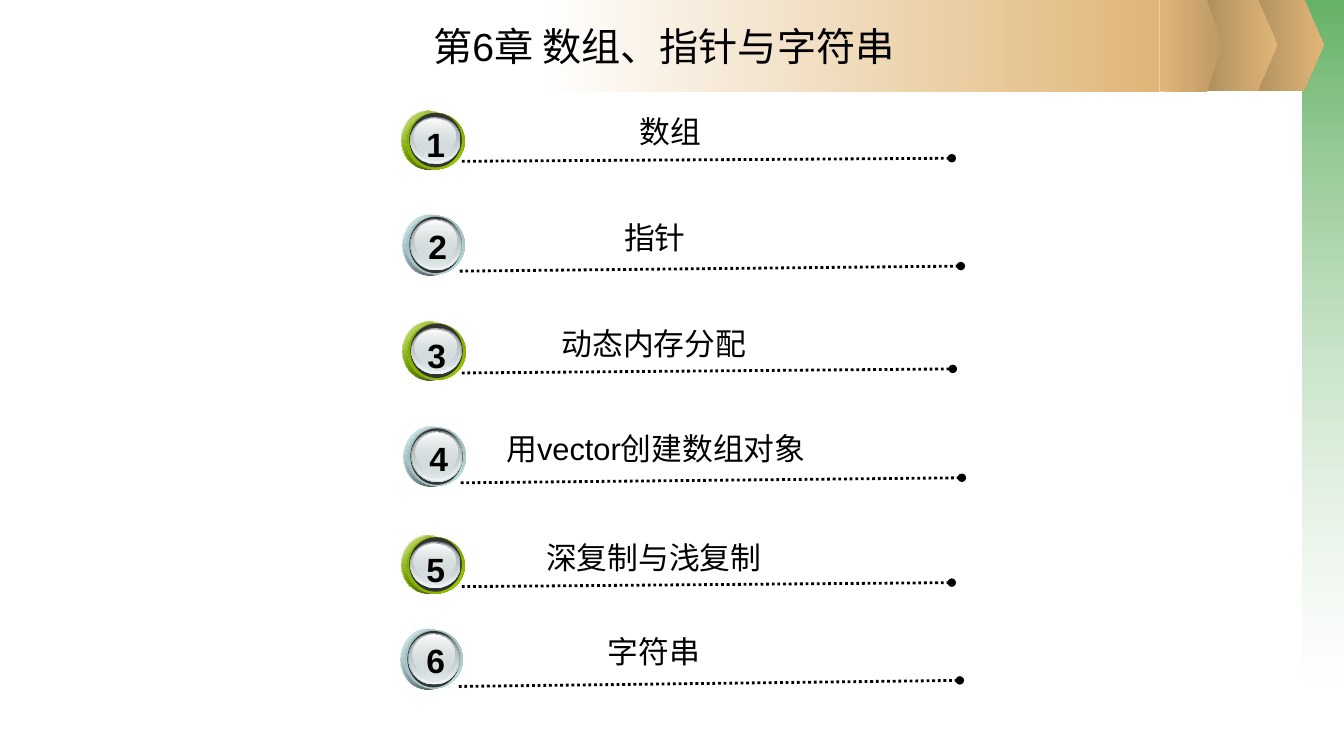
from lxml import etree
from pptx import Presentation
from pptx.dml.color import RGBColor
from pptx.enum.dml import MSO_LINE
from pptx.enum.shapes import MSO_CONNECTOR, MSO_SHAPE
from pptx.enum.text import MSO_ANCHOR, PP_ALIGN
from pptx.oxml.ns import qn
from pptx.util import Inches, Pt

RECT, PENTAGON, OVAL = MSO_SHAPE.RECTANGLE, MSO_SHAPE.PENTAGON, MSO_SHAPE.OVAL
STRAIGHT, DOTTED = MSO_CONNECTOR.STRAIGHT, MSO_LINE.ROUND_DOT
MIDDLE, BOTTOM, CENTER = MSO_ANCHOR.MIDDLE, MSO_ANCHOR.BOTTOM, PP_ALIGN.CENTER

BLACK = RGBColor(0x00, 0x00, 0x00)
WHITE = RGBColor(0xFF, 0xFF, 0xFF)
FOREST = RGBColor(0x33, 0x99, 0x33)
SAND = RGBColor(0xE0, 0xB6, 0x78)
SAND_MID = RGBColor(0xBD, 0x99, 0x65)
SAND_DARK = RGBColor(0xAB, 0x8B, 0x5C)
LIME = RGBColor(0x99, 0xCC, 0x00)
LIME_MID = RGBColor(0x7E, 0xA7, 0x00)
LIME_DARK = RGBColor(0x75, 0x9C, 0x00)
ICE = RGBColor(0xBB, 0xE0, 0xE3)
ICE_MID = RGBColor(0x9A, 0xB8, 0xBA)
ICE_DARK = RGBColor(0x8F, 0xAC, 0xAE)
CHARCOAL = RGBColor(0x33, 0x33, 0x33)
STEEL = RGBColor(0x63, 0x68, 0x69)
SILVER = RGBColor(0xAA, 0xB2, 0xB3)
PEARL = RGBColor(0xD6, 0xE1, 0xE2)
PALE = RGBColor(0xF1, 0xF5, 0xF5)


def add_filled(shapes, kind, box, stops, angle=0):
    """Add a borderless shape; stops are (colour, opacity %), evenly spread."""
    sp = shapes.add_shape(kind, *map(Inches, box))
    sp.shadow.inherit = False
    sp.line.fill.background()
    if len(stops) == 1:
        sp.fill.solid()
        sp.fill.fore_color.rgb = stops[0][0]
        return sp
    sp.fill.gradient()
    grad = sp.element.spPr.find(qn("a:gradFill"))
    grad.find(qn("a:lin")).set("ang", str(angle * 60000))
    gs_list = grad.find(qn("a:gsLst"))
    gs_list.clear()
    for i, (color, opacity) in enumerate(stops):
        gs = etree.SubElement(gs_list, qn("a:gs"), pos=str(100000 * i // (len(stops) - 1)))
        clr = etree.SubElement(gs, qn("a:srgbClr"), val=str(color))
        if opacity < 100:
            etree.SubElement(clr, qn("a:alpha"), val=str(opacity * 1000))
    return sp


def add_text(shapes, box, text, size, bold=False, anchor=MIDDLE):
    tf = shapes.add_textbox(*map(Inches, box)).text_frame
    tf.word_wrap = True
    tf.vertical_anchor = anchor
    p = tf.paragraphs[0]
    p.alignment = CENTER
    r = p.add_run()
    r.text = text
    r.font.name = "Arial"
    r.font.size = Pt(size)
    r.font.bold = bold
    r.font.color.rgb = BLACK


prs = Presentation()
prs.slide_width, prs.slide_height = Inches(13.33), Inches(7.5)
s = prs.slides.add_slide(prs.slide_layouts[6])

# Side band and title banner
add_filled(s.shapes, RECT, (12.92, 0, 0.41, 6.77), [(FOREST, 75), (WHITE, 37)], 90)
for kind, box, start, end in [
    (PENTAGON, (12.34, -0.01, 0.79, 0.91), SAND_DARK, SAND),
    (PENTAGON, (11.88, -0.01, 0.79, 0.91), SAND_DARK, SAND),
    (RECT, (5.36, 0, 6.14, 0.91), WHITE, SAND),
    (PENTAGON, (11.5, 0, 0.62, 0.91), SAND, SAND_MID),
]:
    sp = add_filled(s.shapes, kind, box, [(start, 100), (end, 100)])
    if kind == PENTAGON:
        sp.adjustments[0] = 0.25

add_text(s.shapes, (1.7, 0.14, 9.77, 0.62), "第6章 数组、指针与字符串", 28)

# Badge styles: colours, then layer boxes relative to the badge corner
LIME_BADGE = (LIME, LIME_MID, LIME_DARK, [
    (0, 0, 0.53, 0.58), (0, 0, 0.53, 0.58),
    (0.05, 0.02, 0.58, 0.56), (0.05, 0.02, 0.58, 0.56),
    (0.08, 0.02, 0.52, 0.54), (0.09, 0.06, 0.5, 0.46), (0.09, 0.07, 0.49, 0.45),
    (0.1, 0.07, 0.47, 0.42), (0.12, 0.08, 0.42, 0.34),
], (0.15, 0.08, 0.37, 0.5))
ICE_BADGE = (ICE, ICE_MID, ICE_DARK, [
    (0, 0, 0.54, 0.6), (0, 0, 0.54, 0.6),
    (0.04, 0.01, 0.58, 0.58), (0.04, 0.01, 0.58, 0.58),
    (0.07, 0.02, 0.52, 0.56), (0.08, 0.04, 0.51, 0.51), (0.09, 0.04, 0.49, 0.5),
    (0.09, 0.05, 0.47, 0.47), (0.12, 0.06, 0.42, 0.38),
], (0.16, 0.06, 0.37, 0.5))

# Topics: label, label box, badge corner, underline ends
TOPICS = [
    ("数组", (4.07, 1.07, 5.16, 0.47), (3.98, 1.1), (4.58, 1.6, 9.44, 1.57)),
    ("指针", (4.08, 2.12, 4.83, 0.47), (3.99, 2.13), (4.56, 2.69, 9.53, 2.64)),
    ("动态内存分配", (4.07, 3.17, 4.83, 0.47), (3.99, 3.19), (4.58, 3.7, 9.45, 3.66)),
    ("用vector创建数组对象", (4.09, 4.21, 4.83, 0.47), (4, 4.23), (4.57, 4.79, 9.54, 4.74)),
    ("深复制与浅复制", (4.07, 5.29, 4.83, 0.47), (3.98, 5.31), (4.58, 5.82, 9.44, 5.78)),
    ("字符串", (4.07, 6.23, 4.83, 0.47), (3.97, 6.24), (4.55, 6.81, 9.52, 6.75)),
]

for number, (label, label_box, (left, top), ends) in enumerate(TOPICS, 1):
    # Dotted underline with a round end
    underline = s.shapes.add_connector(STRAIGHT, *map(Inches, ends))
    underline.line.color.rgb = BLACK
    underline.line.width = Pt(2)
    underline.line.dash_style = DOTTED
    sp_pr = underline.element.spPr
    etree.SubElement(sp_pr.find(qn("a:ln")), qn("a:tailEnd"), type="oval")
    etree.SubElement(sp_pr, qn("a:effectLst"))

    # Numbered badge
    main, mid, dark, layers, number_box = LIME_BADGE if number % 2 else ICE_BADGE
    fills = [
        ([(WHITE, 100), (main, 100), (WHITE, 100)], 45),
        ([(main, 32), (BLACK, 90)], 45),
        ([(dark, 100), (main, 100), (dark, 100)], 315),
        ([(mid, 100), (main, 0)], 45),
        ([(CHARCOAL, 100)], 0),
        ([(STEEL, 100), (PEARL, 100)], 90),
        ([(PEARL, 0), (PALE, 100)], 90),
        ([(SILVER, 100), (PEARL, 48)], 90),
        ([(WHITE, 100), (PEARL, 38)], 90),
    ]
    badge = s.shapes.add_group_shape().shapes
    for (dx, dy, w, h), (stops, angle) in zip(layers, fills):
        add_filled(badge, OVAL, (left + dx, top + dy, w, h), stops, angle)
    dx, dy, w, h = number_box
    add_text(badge, (left + dx, top + dy, w, h), str(number), 24, True, BOTTOM)

    add_text(s.shapes, label_box, label, 22)

prs.save("out.pptx")
